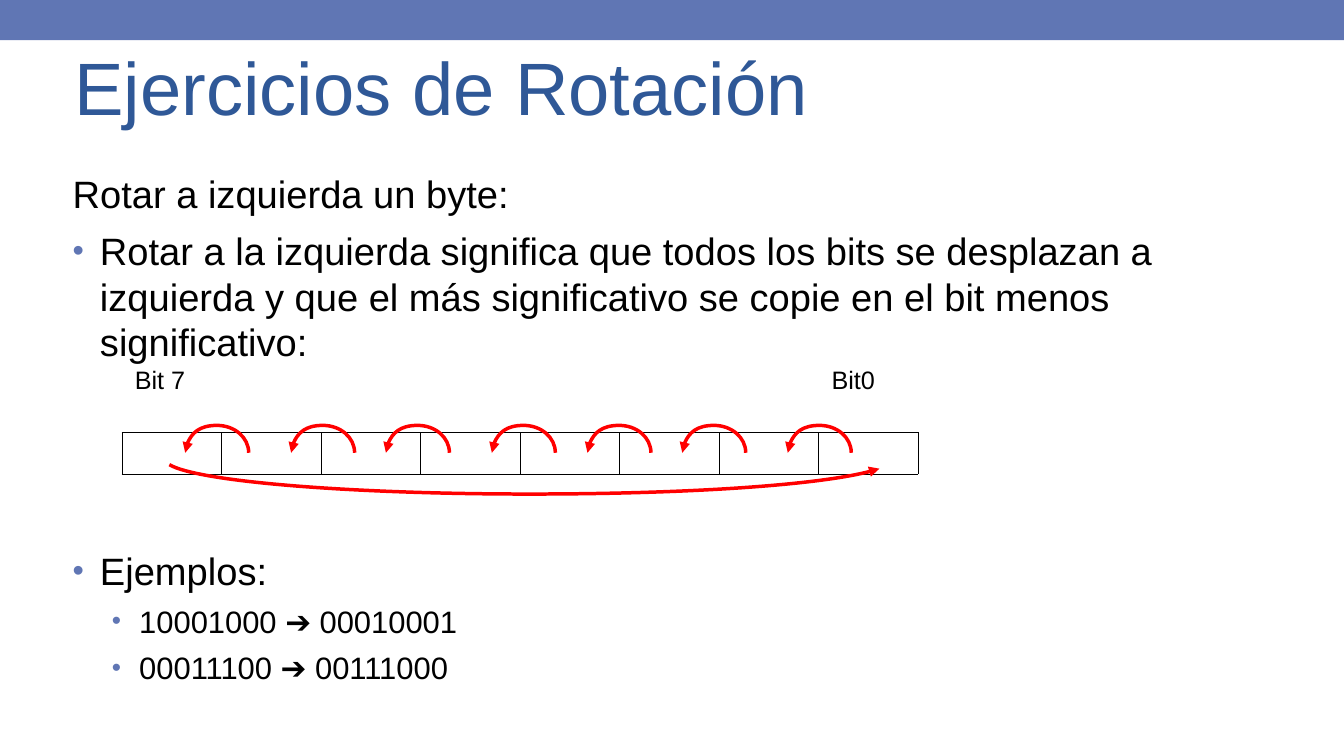
from dataclasses import dataclass

from lxml import etree
from pptx import Presentation
from pptx import oxml
from pptx import util as u
from pptx.dml.color import RGBColor
from pptx.enum import shapes, text
from pptx.oxml import ns
from pptx.util import Cm


@dataclass(frozen=True)
class Theme:
    """Colours, font and type sizes of the slide."""
    font: str = "Arial"
    accent: str = "6076B4"
    heading: str = "2F5897"
    ink: str = "000000"
    arrow: str = "FF0000"
    title_size: float = 53
    body_size: float = 27.2
    example_size: float = 22.1
    label_size: float = 18


THEME = Theme()
BITS = 8
SHIFT_LEFTS = (4.67, 7.34, 9.73, 12.4, 14.81, 17.2, 19.86)
SHIFT_TOP = 10.72
SHIFT_CURVE = ((1.6, 0.69), (1.6, 0.3), (1.24, 0), (0.8, 0),
               (0.36, 0), (0.02, 0.3), (0, 0.69))
WRAP_CURVE = ((4.27, 11.71), (5, 12.14), (8.84, 12.45), (13.34, 12.45),
              (17.45, 12.45), (21.06, 12.19), (22.17, 11.81))


def rgb(colour):
    """Turn a hex string into a colour."""
    return RGBColor.from_string(colour)


def write(para, words, *, size, colour=THEME.ink):
    """Add a formatted span to a paragraph."""
    span = para.add_run()
    span.text = words
    span.font.name = THEME.font
    span.font.size = u.Pt(size)
    span.font.bold = False
    span.font.color.rgb = rgb(colour)


def place(box, left, top, width, height):
    """Move and size a placeholder."""
    box.left, box.top, box.width, box.height = map(Cm, (left, top, width, height))


def set_bullet(para, indent, bulleted):
    """Give a paragraph a hanging indent and an optional bullet."""
    props = para._p.get_or_add_pPr()
    props.set("marL", str(Cm(indent)))
    props.set("indent", str(Cm(-0.69)))
    if not bulleted:
        etree.SubElement(props, ns.qn("a:buNone"))
        return
    colour = etree.SubElement(props, ns.qn("a:buClr"))
    etree.SubElement(colour, ns.qn("a:srgbClr"), val=THEME.accent)
    etree.SubElement(props, ns.qn("a:buSzPct"), val="85000")
    etree.SubElement(props, ns.qn("a:buFont"), typeface=THEME.font)
    etree.SubElement(props, ns.qn("a:buChar"), char="•")


def add_band(page, width):
    """Draw the coloured band along the top edge."""
    band = page.shapes.add_shape(shapes.MSO_SHAPE.RECTANGLE, 0, 0, width, Cm(1.01))
    band.shadow.inherit = False
    band.fill.solid()
    band.fill.fore_color.rgb = rgb(THEME.accent)
    band.line.fill.background()


def fill_title(box):
    """Place and write the title."""
    place(box, 1.6, 0.58, 30.48, 3.18)
    frame = box.text_frame
    frame.auto_size = text.MSO_AUTO_SIZE.NONE
    frame.vertical_anchor = text.MSO_ANCHOR.MIDDLE
    frame.margin_left = frame.margin_right = Cm(0.27)
    frame.margin_top = frame.margin_bottom = Cm(0.13)
    para = frame.paragraphs[0]
    para.alignment = text.PP_ALIGN.LEFT
    write(para, "Ejercicios de Rotación", size=THEME.title_size, colour=THEME.heading)


def fill_body(box):
    """Place and write the list, leaving room for the byte diagram."""
    place(box, 1.6, 4.17, 30.48, 13.89)
    frame = box.text_frame
    frame.auto_size = text.MSO_AUTO_SIZE.NONE
    frame.vertical_anchor = text.MSO_ANCHOR.TOP
    frame.margin_left = frame.margin_right = Cm(0.23)
    items = (
        ("Rotar a izquierda un byte:", 0, 0, False),
        ("Rotar a la izquierda significa que todos los bits se desplazan a izquierda "
         "y que el más significativo se copie en el bit menos significativo:", 0, 8, True),
        ("Ejemplos:", 0, 130.5, True),
        ("10001000 ➔ 00010001", 1, 6.5, True),
        ("00011100 ➔ 00111000", 1, 6.5, True),
    )
    for index, (words, level, gap, bulleted) in enumerate(items):
        para = frame.add_paragraph() if index else frame.paragraphs[0]
        para.level = level
        para.line_spacing = 1.0
        para.space_before = u.Pt(gap)
        para.space_after = u.Pt(0)
        set_bullet(para, 1.68 if level else 0.69, bulleted)
        write(para, words, size=THEME.example_size if level else THEME.body_size)


def add_borders(cell, visible):
    """Draw thin lines on the named sides of a cell and clear the others."""
    props = cell._tc.get_or_add_tcPr()
    ink = f'<a:solidFill><a:srgbClr val="{THEME.ink}"/></a:solidFill>'
    for side in "LRTB":
        paint = ink if side in visible else "<a:noFill/>"
        props.append(oxml.parse_xml(
            f'<a:ln{side} {ns.nsdecls("a")} w="5715">{paint}</a:ln{side}>'))


def add_byte_table(page):
    """Draw the labelled row of bits."""
    table = page.shapes.add_table(
        2, BITS, Cm(3.07), Cm(9.12), Cm(20.08), Cm(2.82)).table
    table.first_row = table.horz_banding = False
    for column in table.columns:
        column.width = Cm(2.51)
    table.rows[0].height, table.rows[1].height = Cm(1.78), Cm(1.04)
    for index, cell in enumerate(table.iter_cells()):
        cell.margin_left = cell.margin_right = Cm(0.33)
        cell.margin_top = cell.margin_bottom = Cm(0.13)
        add_borders(cell, "B" if index < BITS else "LRTB")
        cell.fill.background()
    for column, label in ((0, "Bit 7"), (BITS - 1, "Bit0")):
        write(table.cell(0, column).text_frame.paragraphs[0], label, size=THEME.label_size)


def add_curved_arrow(page, curve, left=0, top=0):
    """Draw an arrow of Bézier pieces, each of two handles and an end."""
    points = [(Cm(left + x), Cm(top + y)) for x, y in curve]
    builder = page.shapes.build_freeform(*points[0])
    builder.add_line_segments(points[1:], close=False)
    arrow = builder.convert_to_shape()
    segments = list(arrow._element.iter(ns.qn("a:lnTo")))
    for first in range(0, len(segments), 3):
        piece = etree.Element(ns.qn("a:cubicBezTo"))
        segments[first].addprevious(piece)
        for segment in segments[first:first + 3]:
            piece.append(segment[0])
            segment.getparent().remove(segment)
    arrow.shadow.inherit = False
    arrow.fill.background()
    arrow.line.color.rgb = rgb(THEME.arrow)
    arrow.line.width = u.Pt(2.5)
    etree.SubElement(arrow.line._get_or_add_ln(), ns.qn("a:tailEnd"), type="triangle")


def main():
    """Build and save the slide."""
    deck = Presentation()
    deck.slide_width, deck.slide_height = Cm(33.88), Cm(19.05)
    page = deck.slides.add_slide(deck.slide_layouts[1])
    add_band(page, deck.slide_width)
    fill_title(page.shapes.title)
    fill_body(page.placeholders[1])
    add_byte_table(page)
    add_curved_arrow(page, WRAP_CURVE)
    for left in SHIFT_LEFTS:
        add_curved_arrow(page, SHIFT_CURVE, left, SHIFT_TOP)
    deck.save("out.pptx")


if __name__ == "__main__":
    main()
